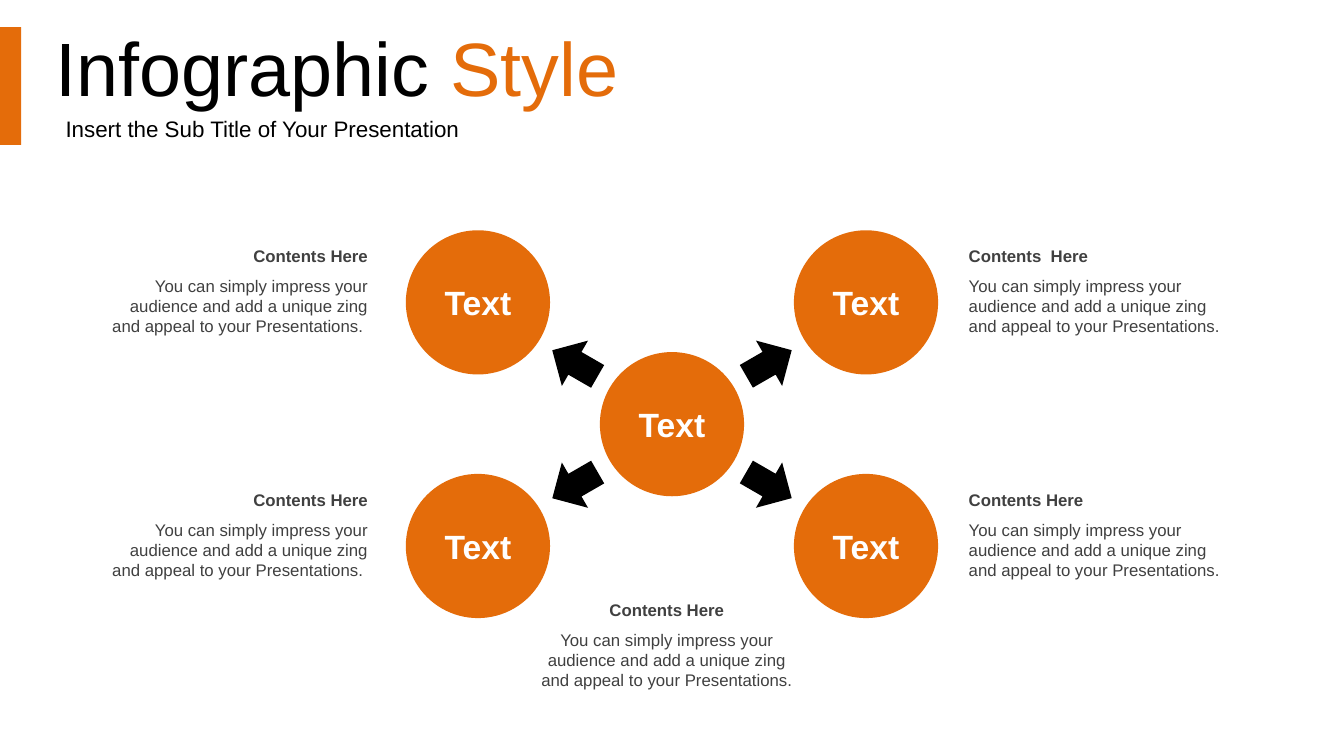
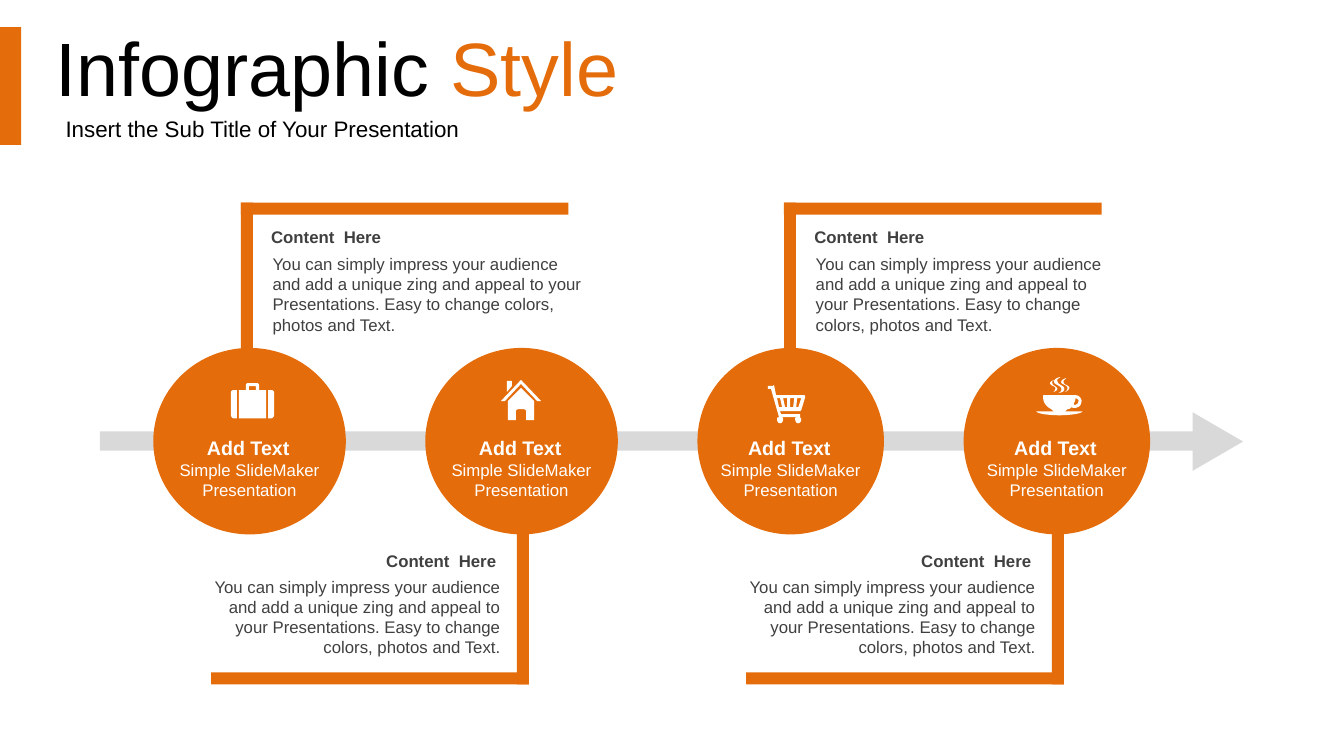
from itertools import product

from pptx import Presentation
from pptx.dml.color import RGBColor
from pptx.enum import shapes, text
from pptx.util import Pt

COLORS = {"accent": "E46C0A", "ink": "000000", "body": "404040",
          "track": "D9D9D9", "white": "FFFFFF"}
FONT = "Arial"
SHAPE, ALIGN, ANCHOR = shapes.MSO_SHAPE, text.PP_ALIGN, text.MSO_ANCHOR
PITCH = ("You can simply impress your audience and add a unique zing "
         "and appeal to your Presentations.")
LONG_PITCH = PITCH + " Easy to change colors, photos and Text."
BAR = 8.6          # thickness of the bracket bars
ICON_UNIT = 0.72   # points per icon grid step

# Icon outlines: pairs are corners, sixes are Bezier curves
SUITCASE = [
    [(37, 7), (40, 7), (42, 7, 43, 8, 43, 10), (43, 31),
     (43, 33, 42, 35, 40, 35), (37, 35)],
    [(3, 7), (6, 7), (6, 35), (3, 35), (1, 35, 0, 33, 0, 31), (0, 10),
     (0, 8, 1, 7, 3, 7)],
    [(19, 3), (18, 3, 18, 3, 18, 4), (18, 7), (25, 7), (25, 4),
     (25, 3, 25, 3, 24, 3)],
    [(17, 0), (26, 0), (27, 0, 28, 1, 28, 2), (28, 7), (35, 7), (35, 35),
     (8, 35), (8, 7), (15, 7), (15, 2), (15, 1, 16, 0, 17, 0)],
]
HOUSE = [
    [(20, 8), (33, 21), (33, 40), (25, 40), (25, 31), (25, 30, 24, 29, 22, 29),
     (18, 29), (16, 29, 15, 30, 15, 31), (15, 40), (7, 40), (7, 21)],
    [(6, 1), (11, 1), (11, 6), (6, 12)],
    [(20, 0), (40, 21), (36, 21), (20, 4), (4, 21), (0, 21)],
]
CART = [
    [(29, 13), (28, 22), (30, 22), (33, 13)],
    [(22, 13), (22, 22), (25, 22), (26, 13)],
    [(15, 13), (17, 22), (19, 22), (19, 13)],
    [(9, 13), (11, 22), (14, 22), (12, 13)],
    [(6, 0), (8, 10), (35, 10), (37, 10, 37, 11, 37, 12), (33, 25), (32, 26),
     (12, 26), (13, 29), (32, 29), (32, 32), (31, 32),
     (32, 32, 33, 33, 33, 34), (33, 36, 32, 38, 30, 38),
     (28, 38, 27, 36, 27, 34), (27, 33, 27, 32, 29, 32), (14, 32),
     (15, 33, 15, 33, 15, 34), (15, 36, 14, 38, 12, 38),
     (10, 38, 9, 36, 9, 34), (9, 33, 9, 32, 11, 32), (3, 4), (0, 4), (0, 1),
     (5, 1)],
]
CUP = [
    [(39, 21), (39, 23, 38, 25, 37, 27), (38, 28, 39, 28, 40, 27),
     (41, 27, 42, 25, 42, 23), (41, 22, 40, 21, 39, 21)],
    [(39, 18), (42, 18, 44, 20, 45, 23), (45, 26, 44, 29, 41, 30),
     (39, 31, 37, 31, 35, 30), (34, 31, 33, 32, 31, 32),
     (30, 33, 29, 34, 28, 34), (46, 34), (46, 36, 35, 38, 23, 38),
     (10, 38, 0, 36, 0, 34), (18, 34), (17, 34, 16, 33, 15, 32),
     (9, 29, 6, 24, 7, 18)],
    [(18, 3), (17, 4, 15, 4, 16, 6), (16, 9, 21, 9, 21, 12),
     (20, 14, 19, 14, 17, 15), (18, 14, 19, 13, 19, 11),
     (19, 9, 15, 9, 14, 7), (13, 5, 15, 4, 18, 3)],
    [(30, 1), (28, 3, 27, 3, 27, 5), (27, 8, 33, 8, 33, 11),
     (32, 13, 31, 14, 28, 15), (30, 14, 31, 13, 31, 11),
     (31, 8, 27, 8, 25, 6), (24, 4, 26, 2, 30, 1)],
    [(24, 0), (22, 2, 20, 2, 21, 4), (21, 8, 28, 8, 28, 12),
     (27, 15, 26, 15, 22, 16), (24, 15, 25, 14, 25, 12),
     (25, 9, 20, 8, 18, 6), (17, 3, 19, 1, 24, 0)],
]


# Basic elements
def paint(sp, color):
    sp.shadow.inherit = False
    sp.fill.solid()
    sp.fill.fore_color.rgb = RGBColor.from_string(COLORS[color])
    sp.line.fill.background()


def style(r, size, color, bold=False):
    r.font.name, r.font.size, r.font.bold = FONT, Pt(size), bold
    r.font.color.rgb = RGBColor.from_string(COLORS[color])


def add_shape(s, kind, x, y, w, h, color, rotation=0):
    sp = s.shapes.add_shape(kind, Pt(x), Pt(y), Pt(w), Pt(h))
    sp.rotation = rotation
    paint(sp, color)
    return sp


def add_text(s, x, y, w, h, words, size, color, bold=False, align=ALIGN.LEFT,
             insets=(7.2, 3.6, 7.2, 3.6), anchor=ANCHOR.TOP):
    tf = s.shapes.add_textbox(Pt(x), Pt(y), Pt(w), Pt(h)).text_frame
    tf.word_wrap, tf.vertical_anchor = True, anchor
    (tf.margin_left, tf.margin_top,
     tf.margin_right, tf.margin_bottom) = map(Pt, insets)
    p = tf.paragraphs[0]
    p.text, p.alignment = words, align
    style(p.runs[0], size, color, bold)
    return p


def flatten(outline, steps=6):
    """Turn corners and Bezier curves into points on the slide scale."""
    points = []
    for node in outline:
        if len(node) == 2:
            points.append(node)
            continue
        start, c1, c2, end = points[-1], node[:2], node[2:4], node[4:]
        for t in (i / steps for i in range(1, steps + 1)):
            u = 1 - t
            points.append(tuple(
                u**3 * a + 3 * u * u * t * b + 3 * u * t * t * c + t**3 * d
                for a, b, c, d in zip(start, c1, c2, end)))
    return [(Pt(px * ICON_UNIT), Pt(py * ICON_UNIT)) for px, py in points]


def add_icon(s, x, y, outlines):
    first, *others = map(flatten, outlines)
    builder = s.shapes.build_freeform(*first[0])
    builder.add_line_segments(first[1:])
    for points in others:
        builder.move_to(*points[0])
        builder.add_line_segments(points[1:])
    paint(builder.convert_to_shape(Pt(x), Pt(y)), "white")


# Composite elements
def add_header(s):
    add_shape(s, SHAPE.RECTANGLE, 0, 19.4, 15.1, 84.2, "accent")
    title = add_text(s, 32.4, 20.9, 903.6, 56.9, "Infographic ", 54, "ink",
                     insets=(7.2, 7.2, 7.2, 3.6), anchor=ANCHOR.MIDDLE)
    r = title.add_run()
    r.text = "Style"
    style(r, 54, "accent")
    subtitle = add_text(s, 32.4, 77.8, 903.6, 27.4,
                        "Insert the Sub Title of Your Presentation", 16, "ink",
                        insets=(14.4, 7.2, 7.2, 3.6), anchor=ANCHOR.MIDDLE)
    title.line_spacing = subtitle.line_spacing = 0.9


def add_caption(s, x, y, w, heading, body, align, gap, left_inset=7.2, nudge=0):
    insets = (left_inset, 3.6, 7.2, 3.6)
    add_text(s, x, y, w, 21.6, heading, 12, "body", True, align, insets)
    add_text(s, x + nudge, y + gap, w + 2 * nudge, 51, body, 12, "body",
             align=align, insets=insets)


def add_hub_circle(s, cx, cy, d=103):
    sp = add_shape(s, SHAPE.OVAL, cx - d / 2, cy - d / 2, d, d, "accent")
    tf = sp.text_frame
    tf.vertical_anchor = ANCHOR.MIDDLE
    p = tf.paragraphs[0]
    p.text, p.alignment = "Text", ALIGN.CENTER
    style(p.runs[0], 24, "white", True)


def add_bracket(s, x, y, w, above):
    """Bar with a stem: down from its left end, or up from its right end."""
    stem = 111
    add_shape(s, SHAPE.RECTANGLE, x, y, w, BAR, "accent")
    stem_x, stem_y = (x, y) if above else (x + w - BAR, y + BAR - stem)
    add_shape(s, SHAPE.RECTANGLE, stem_x, stem_y, BAR, stem, "accent")


def add_step(s, x, w, icon, icon_x, icon_y):
    add_shape(s, SHAPE.OVAL, x, 248.5, w, 133.2, "accent")
    add_text(s, x - 1, 307.5, w, 24.5, "Add Text", 14, "white", True,
             ALIGN.CENTER)
    add_text(s, x, 324.7, w, 36, "Simple SlideMaker Presentation", 12,
             "white", align=ALIGN.CENTER)
    add_icon(s, icon_x, icon_y, icon)


# Slides
def build_hub(s):
    cx, cy, dx, dy = 480, 303, 138.6, 87
    arrow = 37.4
    add_hub_circle(s, cx, cy)
    for side, level in product((-1, 1), repeat=2):
        add_hub_circle(s, cx + side * dx, cy + level * dy)
        add_shape(s, SHAPE.UP_ARROW, cx + side * dx / 2 - arrow / 2,
                  cy + level * dy / 2 - arrow / 2, arrow, arrow, "ink",
                  side * (90 + level * 30) % 360)
        # The trailing space sets the right-aligned last line in slightly
        x, align, body = ((692, ALIGN.LEFT, PITCH) if side > 0
                          else (70, ALIGN.RIGHT, PITCH + " "))
        heading = "Contents  Here" if (side, level) == (1, -1) else "Contents Here"
        add_caption(s, x, cy + level * dy - 44, 200, heading, body, align,
                    21.4, 0)
    add_caption(s, 385.2, 424.8, 189.4, "Contents Here", PITCH, ALIGN.CENTER,
                21.4, 0)


def build_timeline(s):
    # Brackets and their captions
    for x, w in ((172, 234), (560, 227)):
        add_bracket(s, x, 144.7, w, True)
        add_caption(s, x + 14.6, 158.4, w + 1, "Content  Here", LONG_PITCH,
                    ALIGN.LEFT, 19.4, nudge=1)
    for x in (150.8, 533):
        add_bracket(s, x, 480.2, 227, False)
        add_caption(s, x - 16.6, 389.5, 227.4, "Content  Here", LONG_PITCH,
                    ALIGN.RIGHT, 18.7, nudge=1)
    # Time arrow
    add_shape(s, SHAPE.RECTANGLE, 71.3, 308.2, 785.5, 13.7, "track")
    add_shape(s, SHAPE.ISOSCELES_TRIANGLE, 849, 297.4, 41.8, 36, "track", 90)
    # Steps
    for step in ((109.5, 137.5, SUITCASE, 164.9, 273.6),
                 (303.8, 137.5, HOUSE, 357.8, 271.4),
                 (498.2, 133.2, CART, 548.6, 275),
                 (688.3, 133.2, CUP, 740.2, 269.3)):
        add_step(s, *step)


def main():
    prs = Presentation()
    prs.slide_width, prs.slide_height = Pt(960), Pt(540)
    for build in (build_hub, build_timeline):
        s = prs.slides.add_slide(prs.slide_layouts[6])
        add_header(s)
        build(s)
    prs.save("out.pptx")


if __name__ == "__main__":
    main()
